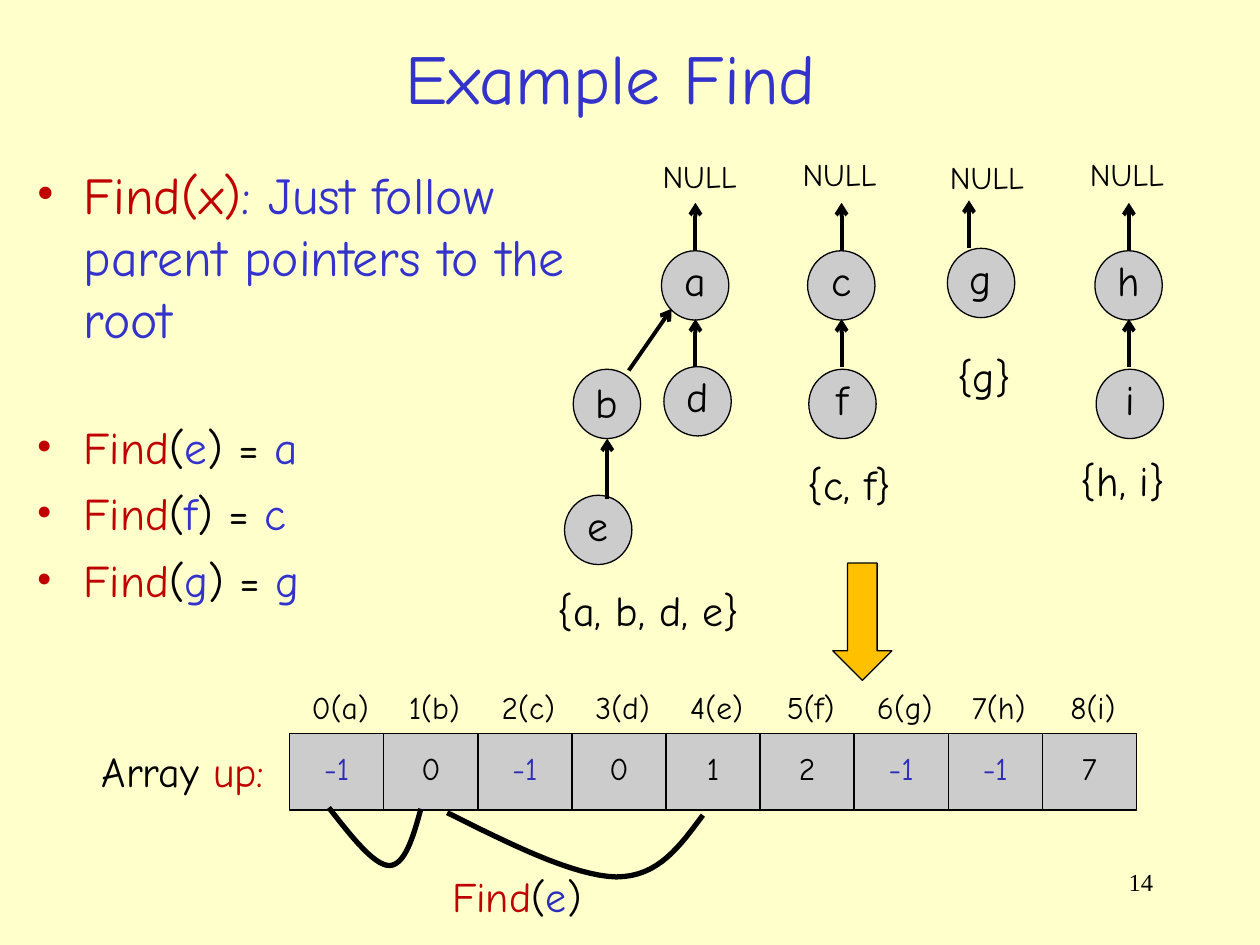
from lxml import etree
from pptx import Presentation
from pptx.dml.color import RGBColor
from pptx.enum.shapes import MSO_CONNECTOR, MSO_SHAPE
from pptx.enum.text import MSO_ANCHOR, MSO_AUTO_SIZE, PP_ALIGN
from pptx.oxml.ns import qn
from pptx.util import Pt

FONT, SERIF_FONT = "Comic Neue", "Times New Roman"
BLACK, BLUE, RED, INDEX_BLUE = "000000", "3333CC", "C00000", "2D2DB9"
GRAY, ORANGE, CREAM = "CCCCCC", "FFC000", "FFFFCC"
NODE_WIDTH, NODE_HEIGHT = 38.5, 39.6


def color(value):
    return RGBColor.from_string(value)


def add_runs(paragraph, runs, size, font=FONT):
    for text, run_color in runs:
        run = paragraph.add_run()
        run.text = text
        run.font.name = font
        run.font.size = Pt(size)
        run.font.color.rgb = color(run_color)


def add_text(slide, box, runs, size, align=PP_ALIGN.LEFT, font=FONT, wrap=False):
    shape = slide.shapes.add_textbox(*map(Pt, box))
    frame = shape.text_frame
    frame.word_wrap = wrap
    frame.auto_size = MSO_AUTO_SIZE.NONE if wrap else MSO_AUTO_SIZE.SHAPE_TO_FIT_TEXT
    frame.paragraphs[0].alignment = align
    add_runs(frame.paragraphs[0], runs, size, font)
    return shape


def add_filled_shape(slide, kind, box, fill):
    shape = slide.shapes.add_shape(kind, *map(Pt, box))
    shape.shadow.inherit = False
    shape.fill.solid()
    shape.fill.fore_color.rgb = color(fill)
    shape.line.color.rgb = color(BLACK)
    shape.line.width = Pt(0.75)
    return shape


def add_label(shape, text, size, text_color=BLACK, lift=0):
    """Centre text inside a shape, raised by the given amount."""
    frame = shape.text_frame
    frame.word_wrap = False
    frame.margin_left = frame.margin_right = frame.margin_top = 0
    frame.margin_bottom = Pt(2 * lift)
    frame.vertical_anchor = MSO_ANCHOR.MIDDLE
    frame.paragraphs[0].alignment = PP_ALIGN.CENTER
    add_runs(frame.paragraphs[0], [(text, text_color)], size)


def add_arrow(slide, start, end):
    connector = slide.shapes.add_connector(
        MSO_CONNECTOR.STRAIGHT, *map(Pt, (*start, *end)))
    connector.line.color.rgb = color(BLACK)
    connector.line.width = Pt(2.25)
    line = connector.line._get_or_add_ln()
    etree.SubElement(line, qn("a:tailEnd"), type="arrow")
    etree.SubElement(connector._element.spPr, qn("a:effectLst"))


def add_curve(slide, start, segments, steps=16):
    """Draw an open outline through cubic Bézier segments."""
    points, origin = [], start
    for first, second, end in segments:
        for step in range(1, steps + 1):
            t = step / steps
            weights = ((1 - t) ** 3, 3 * t * (1 - t) ** 2, 3 * t * t * (1 - t), t ** 3)
            corners = (origin, first, second, end)
            points.append(tuple(
                Pt(sum(w * corner[axis] for w, corner in zip(weights, corners)))
                for axis in (0, 1)))
        origin = end
    builder = slide.shapes.build_freeform(Pt(start[0]), Pt(start[1]))
    builder.add_line_segments(points, close=False)
    shape = builder.convert_to_shape()
    shape.shadow.inherit = False
    shape.fill.background()
    shape.line.color.rgb = color(BLACK)
    shape.line.width = Pt(3)


def add_title(slide, box):
    title = add_text(slide, box, [("Example Find", BLUE)], 40, PP_ALIGN.CENTER, wrap=True)
    title.text_frame.vertical_anchor = MSO_ANCHOR.MIDDLE


def add_bullet(paragraph):
    properties = paragraph._p.get_or_add_pPr()
    properties.set("marL", str(Pt(27)))
    properties.set("indent", str(-Pt(27)))
    bullet_color = etree.SubElement(properties, qn("a:buClr"))
    etree.SubElement(bullet_color, qn("a:srgbClr"), val=RED)
    etree.SubElement(properties, qn("a:buFont"), typeface=SERIF_FONT)
    etree.SubElement(properties, qn("a:buChar"), char="•")


def add_body(slide, box):
    definition = [("Find(x)", RED), (": Just follow parent pointers to the root", BLUE)]
    body = add_text(slide, box, definition, 29.6, wrap=True)
    add_bullet(body.text_frame.paragraphs[0])
    for (element, root), gap in zip(("ea", "fc", "gg"), (40, 7, 7)):
        paragraph = body.text_frame.add_paragraph()
        paragraph.space_before = Pt(gap)
        add_bullet(paragraph)
        add_runs(paragraph, [("Find", RED), ("(", BLACK), (element, BLUE),
                             (") = ", BLACK), (root, BLUE)], 25.9)


def add_tree(slide, left, top, nodes, pointers, null_at, members, members_box):
    """Draw one tree; all offsets count from the root node's corner."""
    for name, (x, y) in nodes.items():
        box = (left + x, top + y, NODE_WIDTH, NODE_HEIGHT)
        node = add_filled_shape(slide, MSO_SHAPE.OVAL, box, GRAY)
        add_label(node, name, 24, lift=1 if name == "b" else 3)
    for start_x, start_y, end_x, end_y in pointers:
        add_arrow(slide, (left + start_x, top + start_y), (left + end_x, top + end_y))
    add_text(slide, (left + null_at[0], top + null_at[1], 60, 28.8), [("NULL", BLACK)], 18)
    x, y, width = members_box
    add_text(slide, (left + x, top + y, width, 36), [(members, BLACK)], 24)


def add_forest(slide, left, top):
    to_null = (19.4, 0, 19.4, -27.4)
    to_root = (19.4, 66.6, 19.4, 39)
    add_tree(slide, left, top,
             {"a": (0, 0), "b": (-50.4, 67.7), "d": (1.4, 66.2), "e": (-55.4, 139.7)},
             [to_null, to_root, (-18.7, 68.4, 5.8, 33.1), (-31, 141.8, -31, 107.3)],
             (-6.5, -57), "{a, b, d, e}", (-66.5, 187.2, 122))
    add_tree(slide, left + 83.5, top, {"c": (0, 0), "f": (0.7, 67.7)},
             [to_null, to_root], (-10, -58.3), "{c, f}", (-7.2, 115.2, 66))
    add_tree(slide, left + 163.4, top - 1.4, {"g": (0, 0)},
             [(12.3, 0, 12.3, -27.4)], (-5.7, -55.4), "{g}", (-1.4, 54.8, 50))
    add_tree(slide, left + 247.7, top, {"h": (0, 0), "i": (0.7, 67.7)},
             [to_null, to_root], (-10, -58.3), "{h, i}", (-15.1, 113, 66))


def add_array(slide, left, top, width, height):
    values = (-1, 0, -1, 0, 1, 2, -1, -1, 7)
    cell_width = width / len(values)
    for index, (name, value) in enumerate(zip("abcdefghi", values)):
        x = left + index * cell_width
        cell = add_filled_shape(slide, MSO_SHAPE.RECTANGLE, (x, top, cell_width, height), GRAY)
        add_label(cell, str(value), 18, INDEX_BLUE if value < 0 else BLACK, lift=2)
        add_text(slide, (x + 2, top - 29.5, cell_width, 28.8),
                 [(f"{index}({name})", BLACK)], 18, PP_ALIGN.CENTER)
    add_text(slide, (left - 114.5, top + 3.6, 112, 36), [("Array ", BLACK), ("up:", RED)], 24)


def add_find_path(slide, left, top):
    """Draw the hops from e to b and from b to a below the array."""
    def at(x, y):
        return left + x, top + y

    add_curve(slide, at(213.8, 4.3), [
        (at(200.8, 21.6), at(188.6, 39.6), at(164.2, 39.6)),
        (at(139.7, 38.9), at(103.7, 20.9), at(67.7, 2.9))])
    add_curve(slide, at(52.6, 0.7), [
        (at(48.2, 17.3), at(43.2, 33.1), at(34.6, 33.1)),
        (at(25.9, 33.1), at(13, 16.6), at(0, 0))])
    add_text(slide, (*at(63.4, 32.4), 96, 36),
             [("Find", RED), ("(", BLACK), ("e", INDEX_BLUE), (")", BLACK)], 24)


def main():
    presentation = Presentation()
    presentation.slide_width, presentation.slide_height = Pt(720), Pt(540)
    slide = presentation.slides.add_slide(presentation.slide_layouts[6])
    slide.background.fill.solid()
    slide.background.fill.fore_color.rgb = color(CREAM)

    # Page number, title and bullets
    add_text(slide, (516.2, 491.8, 149.8, 36), [("14", BLACK)], 14,
             PP_ALIGN.RIGHT, SERIF_FONT, wrap=True)
    add_title(slide, (26.6, 18.7, 645, 49.7))
    add_body(slide, (13.7, 89.3, 344.2, 275.8))

    # Trees, the arrow down, and the array that stores them
    add_forest(slide, 378, 143.3)
    add_filled_shape(slide, MSO_SHAPE.DOWN_ARROW, (475.9, 321.8, 33.8, 67), ORANGE)
    add_array(slide, 165.6, 419, 483.8, 43.9)
    add_find_path(slide, 187.9, 461.5)

    presentation.save("out.pptx")


if __name__ == "__main__":
    main()
